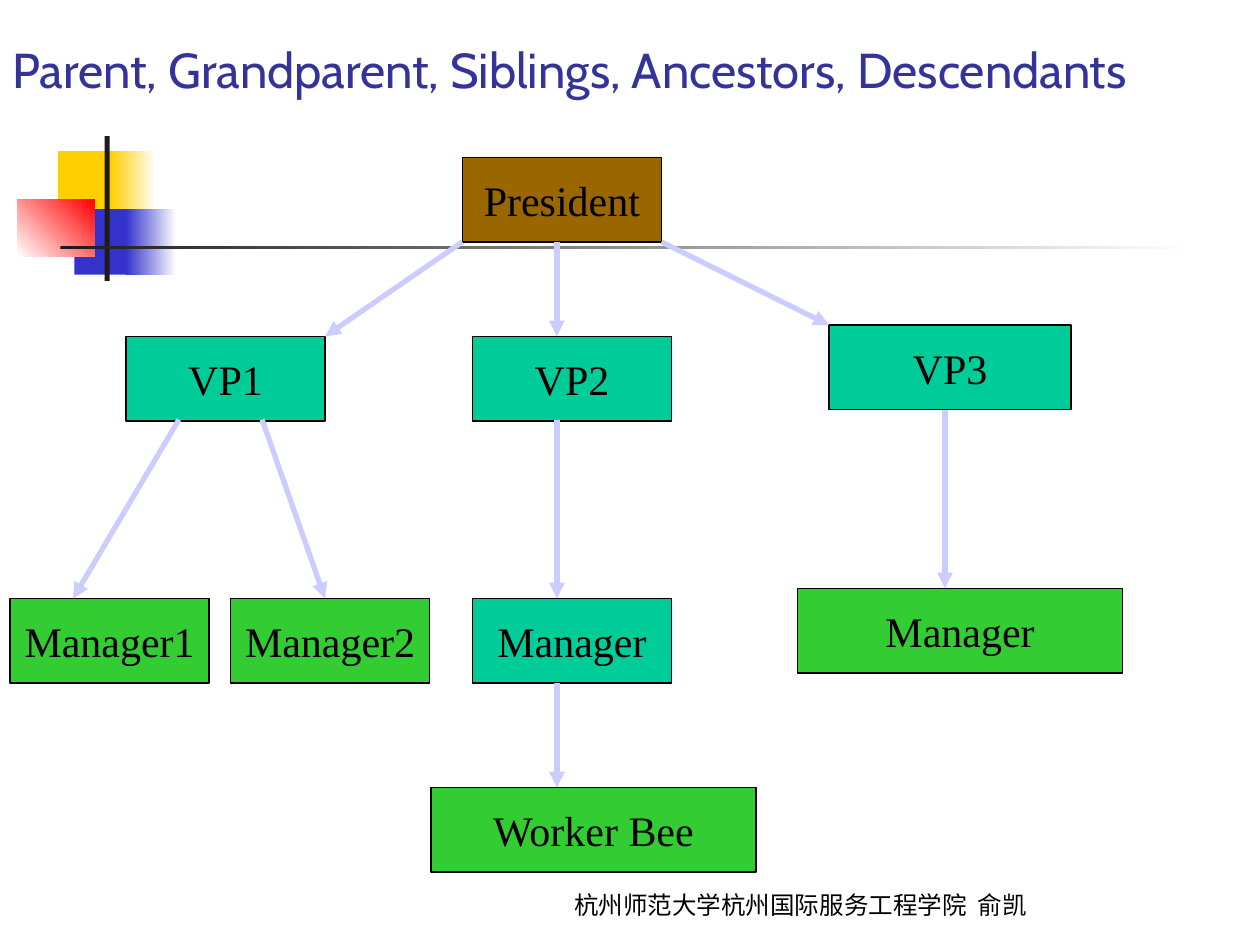
from lxml.etree import SubElement
from pptx import Presentation
from pptx.dml.color import RGBColor
from pptx.enum.shapes import MSO_CONNECTOR, MSO_SHAPE
from pptx.enum.text import MSO_ANCHOR, MSO_AUTO_SIZE, PP_ALIGN
from pptx.oxml.ns import qn
from pptx.util import Inches, Pt

BROWN, TEAL, GREEN = "996600", "00CC99", "33CC33"
YELLOW, BLUE, RED = "FFCF01", "3333CC", "FF0000"
BLACK, WHITE, DARK = "000000", "FFFFFF", "1C1C1C"
BOX_H = 0.67


def color(hex_value):
    return RGBColor.from_string(hex_value)


class TreeSlide:
    """Draws the parts of a tree diagram on one slide in a shared style."""

    title_font = "Cabin"
    box_font = "Times New Roman"
    title_color = "333399"
    arrow_color = "CCCCFF"

    def __init__(self, prs):
        self.s = prs.slides.add_slide(prs.slide_layouts[5])

    def font(self, p, name, size, hex_value):
        p.font.name = name
        p.font.size = Pt(size)
        p.font.color.rgb = color(hex_value)

    def shape(self, x, y, w, h):
        sp = self.s.shapes.add_shape(
            MSO_SHAPE.RECTANGLE, Inches(x), Inches(y), Inches(w), Inches(h))
        sp.shadow.inherit = False
        return sp

    def block(self, x, y, w, h, start, end=None, angle=0):
        sp = self.shape(x, y, w, h)
        sp.line.fill.background()
        if end is None:
            sp.fill.solid()
            sp.fill.fore_color.rgb = color(start)
        else:
            sp.fill.gradient()
            sp.fill.gradient_angle = angle
            for stop, value in zip(sp.fill.gradient_stops, (start, end)):
                stop.color.rgb = color(value)

    def title(self, text):
        sp = self.s.shapes.title
        sp.left, sp.top, sp.width, sp.height = 0, 0, Inches(10), Inches(0.83)
        tf = sp.text_frame
        tf.text = text
        tf.auto_size = MSO_AUTO_SIZE.NONE
        tf.vertical_anchor = MSO_ANCHOR.BOTTOM
        p = tf.paragraphs[0]
        p.alignment = PP_ALIGN.LEFT
        self.font(p, self.title_font, 28, self.title_color)

    def footer(self, text, x, y, w, h):
        sp = self.s.shapes.add_textbox(Inches(x), Inches(y), Inches(w), Inches(h))
        tf = sp.text_frame
        tf.word_wrap = True
        tf.vertical_anchor = MSO_ANCHOR.BOTTOM
        tf.text = text
        p = tf.paragraphs[0]
        p.alignment = PP_ALIGN.CENTER
        p.line_spacing = 0.96
        self.font(p, self.title_font, 14, BLACK)

    def node(self, text, x, y, w, fill):
        sp = self.shape(x, y, w, BOX_H)
        sp.fill.solid()
        sp.fill.fore_color.rgb = color(fill)
        sp.line.color.rgb = color(BLACK)
        sp.line.width = Pt(1)
        tf = sp.text_frame
        tf.word_wrap = False
        tf.vertical_anchor = MSO_ANCHOR.MIDDLE
        tf.text = text
        p = tf.paragraphs[0]
        p.alignment = PP_ALIGN.CENTER
        self.font(p, self.box_font, 24, BLACK)

    def arrow(self, x1, y1, x2, y2):
        c = self.s.shapes.add_connector(
            MSO_CONNECTOR.STRAIGHT, Inches(x1), Inches(y1), Inches(x2), Inches(y2))
        c.line.color.rgb = color(self.arrow_color)
        c.line.width = Pt(3)
        SubElement(c.line._get_or_add_ln(), qn("a:tailEnd"), type="triangle")
        SubElement(c._element.spPr, qn("a:effectLst"))


def main():
    prs = Presentation()
    prs.slide_width, prs.slide_height = Inches(10), Inches(7.5)
    slide = TreeSlide(prs)
    slide.title("Parent, Grandparent, Siblings, Ancestors, Descendants")

    slide.block(0.46, 1.2, 0.48, 0.52, YELLOW)
    slide.block(0.88, 1.2, 0.36, 0.52, YELLOW, WHITE)
    slide.block(0.59, 1.66, 0.46, 0.52, BLUE)
    slide.block(1, 1.66, 0.4, 0.52, BLUE, WHITE)
    slide.block(0.14, 1.58, 0.61, 0.46, WHITE, RED, 45)
    slide.block(0.83, 1.08, 0.04, 1.15, DARK)
    slide.block(0.48, 1.95, 9, 0.03, DARK, WHITE)
    slide.footer("杭州师范大学杭州国际服务工程学院  俞凯", 4.06, 7.02, 4.59, 0.33)

    for node in (
        ("President", 3.67, 1.25, 1.58, BROWN),
        ("VP1", 1, 2.67, 1.58, TEAL),
        ("VP2", 3.75, 2.67, 1.58, TEAL),
        ("VP3", 6.58, 2.58, 1.92, TEAL),
        ("Manager1", 0.08, 4.75, 1.58, GREEN),
        ("Manager2", 1.83, 4.75, 1.58, GREEN),
        ("Manager", 3.75, 4.75, 1.58, TEAL),
        ("Manager", 6.33, 4.67, 2.58, GREEN),
        ("Worker Bee", 3.42, 6.25, 2.58, GREEN),
    ):
        slide.node(*node)

    for ends in (
        (4.42, 1.92, 4.42, 2.67),
        (3.67, 1.92, 2.58, 2.67),
        (5.25, 1.92, 6.58, 2.58),
        (1.42, 3.33, 0.58, 4.75),
        (2.08, 3.33, 2.58, 4.75),
        (4.42, 3.33, 4.42, 4.75),
        (7.5, 3.25, 7.5, 4.67),
        (4.42, 5.42, 4.42, 6.25),
    ):
        slide.arrow(*ends)

    prs.save("out.pptx")


if __name__ == "__main__":
    main()
